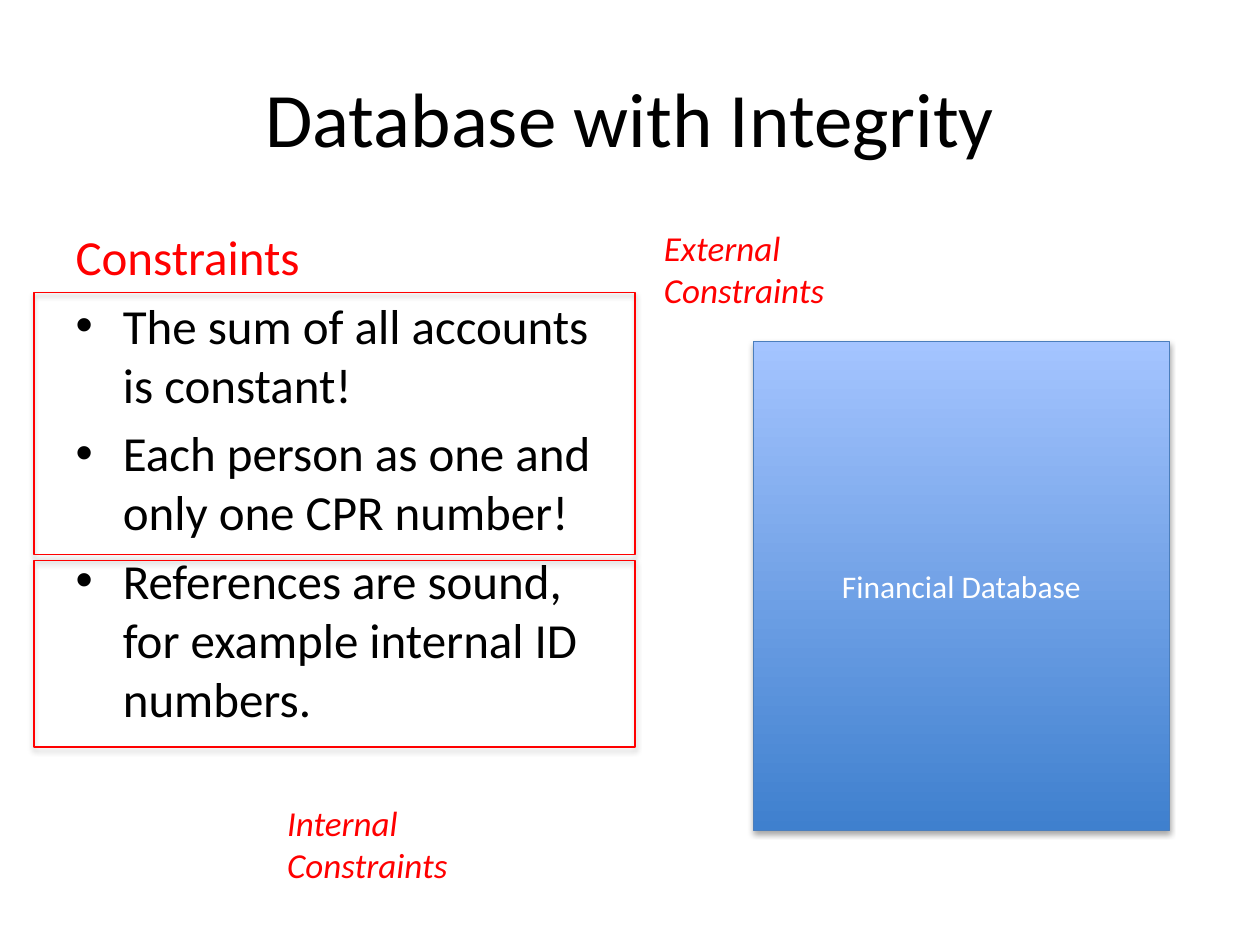
from dataclasses import dataclass

from lxml import etree
from pptx import Presentation
from pptx.dml.color import RGBColor
from pptx.enum.shapes import MSO_SHAPE
from pptx.enum.text import MSO_ANCHOR, PP_ALIGN
from pptx.oxml.ns import qn
from pptx.util import Inches, Pt

RECTANGLE = MSO_SHAPE.RECTANGLE
MIDDLE = MSO_ANCHOR.MIDDLE
CENTER = PP_ALIGN.CENTER


@dataclass(frozen=True)
class Theme:
    font: str = "Calibri"
    black: str = "000000"
    white: str = "FFFFFF"
    red: str = "FF0000"
    edge: str = "4B7EBC"
    gradient: tuple = ("3F80CE", "A4C4FF")
    title: int = 44
    body: int = 28
    note: int = 20
    label: int = 18
    line: float = 0.75


THEME = Theme()
WIDTH, HEIGHT = 10, 7.5
MARGIN = 0.5

TITLE = "Database with Integrity"
HEADING = "Constraints"
CONSTRAINTS = [
    "The sum of all accounts is constant!",
    "Each person as one and only one CPR number!",
    "References are sound, for example internal ID numbers.",
]
DATABASE = "Financial Database"
FRAME_LEFT, FRAME_WIDTH = 0.27, 4.77
NOTE_SIZE = (1.81, 0.77)
CONSTRAINT_GROUPS = [
    {"note": "External Constraints", "top": 2.32, "height": 2.08, "note_at": (5.17, 1.75)},
    {"note": "Internal Constraints", "top": 4.45, "height": 1.48, "note_at": (2.18, 6.31)},
]


def place(shape, left, top, width, height):
    shape.left, shape.top = Inches(left), Inches(top)
    shape.width, shape.height = Inches(width), Inches(height)


def style(paragraph, size, color, italic=None):
    font = paragraph.font
    font.name, font.size, font.italic = THEME.font, Pt(size), italic
    font.color.rgb = RGBColor.from_string(color)


def add_rectangle(shapes, left, top, width, height, line_color):
    rectangle = shapes.add_shape(RECTANGLE, *map(Inches, (left, top, width, height)))
    rectangle.line.color.rgb = RGBColor.from_string(line_color)
    rectangle.line.width = Pt(THEME.line)
    return rectangle


def add_title(slide):
    title = slide.shapes.title
    place(title, MARGIN, 0.3, WIDTH - 2 * MARGIN, 1.25)
    title.text_frame.text = TITLE
    title.text_frame.vertical_anchor = MIDDLE
    paragraph = title.text_frame.paragraphs[0]
    paragraph.alignment = CENTER
    style(paragraph, THEME.title, THEME.black)


def add_constraints(slide):
    body = slide.placeholders[1]
    place(body, MARGIN, 1.75, 4.42, 4.95)
    frame = body.text_frame
    frame.text = "\n".join([HEADING, *CONSTRAINTS])
    heading, *items = frame.paragraphs
    style(heading, THEME.body, THEME.red)
    properties = heading._p.get_or_add_pPr()
    properties.set("marL", "0")
    properties.set("indent", "0")
    properties.insert(0, etree.Element(qn("a:buNone")))
    for item in items:
        style(item, THEME.body, THEME.black)


def add_database(slide):
    database = add_rectangle(slide.shapes, 5.98, 2.71, 3.3, 3.88, THEME.edge)
    database.fill.gradient()
    database.fill.gradient_angle = 90
    for stop, color, position in zip(database.fill.gradient_stops, THEME.gradient, (0, 1)):
        stop.color.rgb = RGBColor.from_string(color)
        stop.position = position
    database.text_frame.text = DATABASE
    database.text_frame.vertical_anchor = MIDDLE
    paragraph = database.text_frame.paragraphs[0]
    paragraph.alignment = CENTER
    style(paragraph, THEME.label, THEME.white)


def add_constraint_group(slide, note, top, height, note_at):
    group = slide.shapes.add_group_shape()
    frame = add_rectangle(group.shapes, FRAME_LEFT, top, FRAME_WIDTH, height, THEME.red)
    frame.fill.background()
    text_box = group.shapes.add_textbox(*map(Inches, note_at + NOTE_SIZE))
    text_box.text_frame.word_wrap = True
    text_box.text_frame.text = note
    style(text_box.text_frame.paragraphs[0], THEME.note, THEME.red, italic=True)


def main():
    presentation = Presentation()
    presentation.slide_width, presentation.slide_height = Inches(WIDTH), Inches(HEIGHT)
    slide = presentation.slides.add_slide(presentation.slide_layouts[1])
    add_title(slide)
    add_constraints(slide)
    add_database(slide)
    for constraint_group in CONSTRAINT_GROUPS:
        add_constraint_group(slide, **constraint_group)
    presentation.save("out.pptx")


if __name__ == "__main__":
    main()
